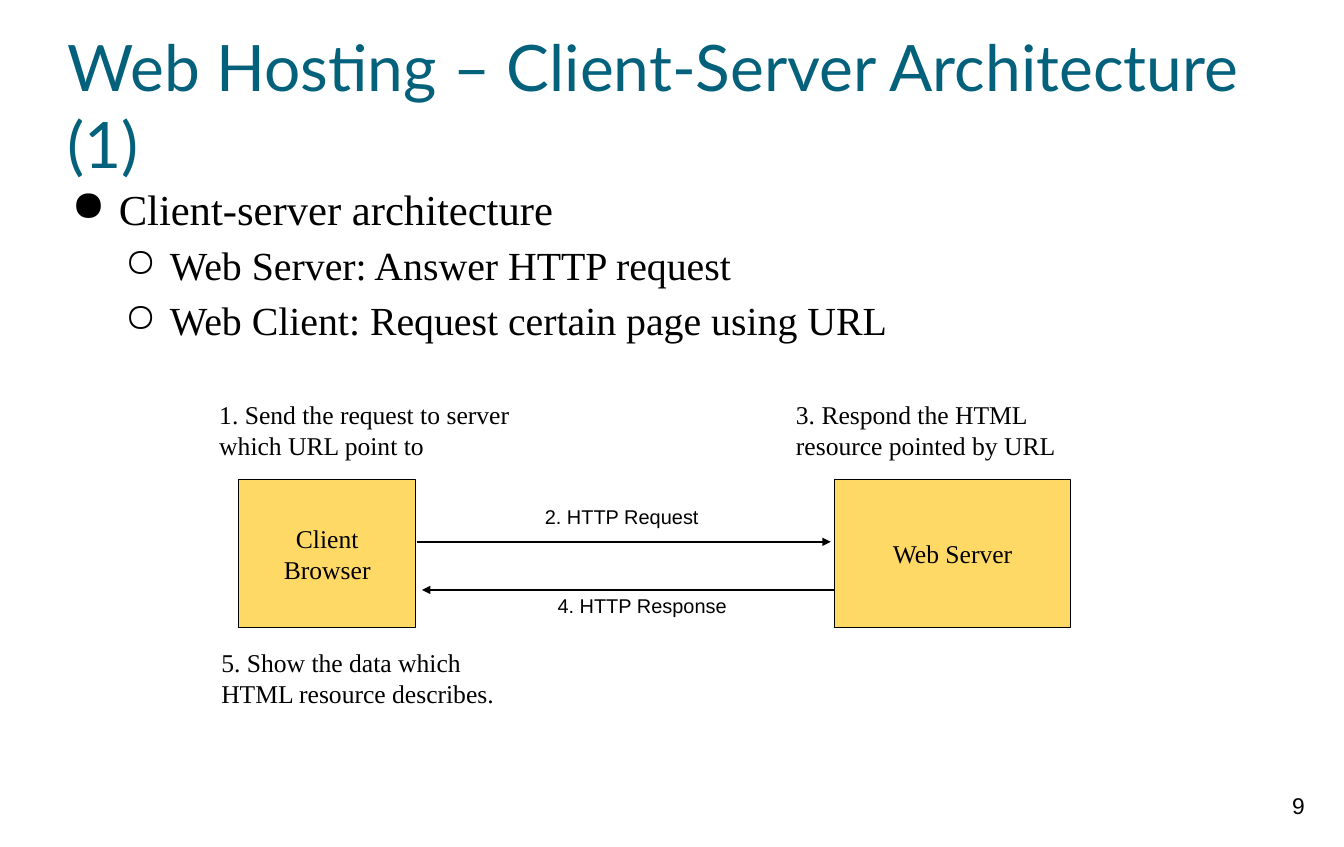
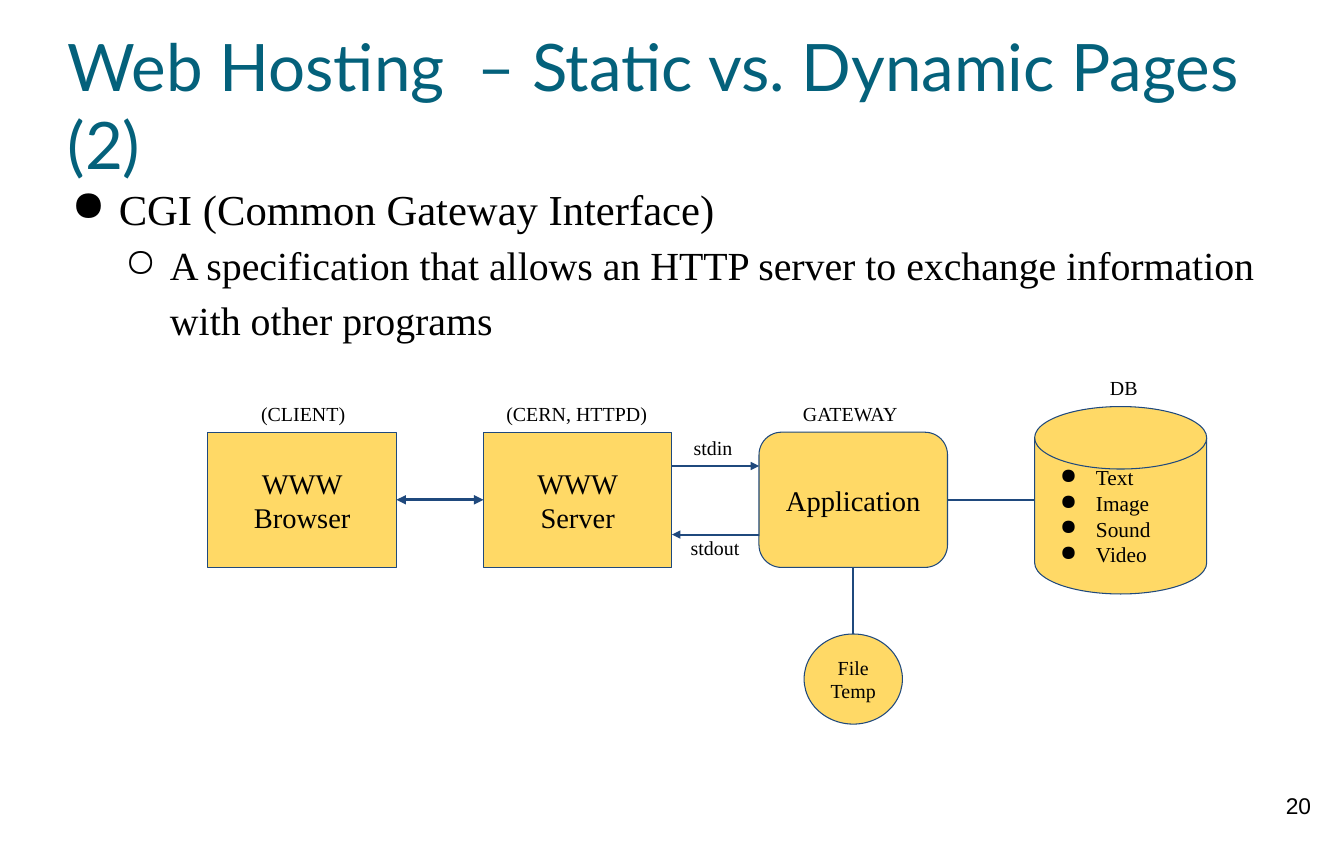
from lxml.etree import SubElement
from pptx import Presentation
from pptx.dml.color import RGBColor
from pptx.enum.shapes import MSO_CONNECTOR, MSO_SHAPE
from pptx.enum.text import MSO_ANCHOR, PP_ALIGN
from pptx.oxml.ns import qn
from pptx.util import Inches, Pt

COLORS = {"title": "04617B", "text": "000000", "fill": "FFD966", "navy": "1F497D"}
SERIF, SANS, TITLE_FONT = "Times New Roman", "Arial", "Lato"
BODY_LEVELS = [("●", 0.5, 0.46, 30), ("○", 1, 0.44, 28)]


class Deck:
    def __init__(self):
        self.presentation = Presentation()
        self.presentation.slide_width = Inches(13.12)
        self.presentation.slide_height = Inches(8.27)
        self.slide = None

    def color(self, name):
        return RGBColor.from_string(COLORS[name])

    def style(self, paragraph, size, font=SERIF, color="text", align=PP_ALIGN.LEFT):
        paragraph.alignment = align
        for run in paragraph.runs:
            run.font.size = Pt(size)
            run.font.name = font
            run.font.color.rgb = self.color(color)

    def frame(self, shape, inset, anchor):
        text_frame = shape.text_frame
        text_frame.word_wrap = True
        text_frame.vertical_anchor = anchor
        text_frame.margin_left = text_frame.margin_right = Inches(inset)
        text_frame.margin_top = text_frame.margin_bottom = Inches(inset)
        return text_frame

    def bullet(self, paragraph, symbol, indent, hanging):
        properties = paragraph._p.get_or_add_pPr()
        properties.set("marL", str(Inches(indent)))
        properties.set("indent", str(-Inches(hanging)))
        bullet_color = SubElement(properties, qn("a:buClr"))
        SubElement(bullet_color, qn("a:srgbClr"), val=COLORS["text"])
        SubElement(properties, qn("a:buChar"), char=symbol)

    def label(self, text, left, top, width, height, size, font=SERIF, color="text",
              align=PP_ALIGN.LEFT, inset=0, anchor=MSO_ANCHOR.TOP):
        shape = self.slide.shapes.add_textbox(
            Inches(left), Inches(top), Inches(width), Inches(height))
        text_frame = self.frame(shape, inset, anchor)
        text_frame.text = text
        self.style(text_frame.paragraphs[0], size, font, color, align)
        return shape

    def caption(self, text, left, top):
        self.label(text, left, top, 1.68, 0.46, 14, align=PP_ALIGN.CENTER, inset=0.1)

    def start(self, title, title_size, number, body):
        layout = self.presentation.slide_layouts[6]
        self.slide = self.presentation.slides.add_slide(layout)
        heading = self.label(title, 0.66, 0.33, 11.81, 1.38, title_size, TITLE_FONT,
                             "title", anchor=MSO_ANCHOR.MIDDLE)
        if "\t" in title:
            properties = heading.text_frame.paragraphs[0]._p.get_or_add_pPr()
            tabs = SubElement(properties, qn("a:tabLst"))
            SubElement(tabs, qn("a:tab"), pos=str(Inches(4)), algn="l")
        self.body(body)
        self.label(str(number), 12.28, 7.63, 0.79, 0.63, 16, SANS,
                   align=PP_ALIGN.CENTER, inset=0.1)

    def body(self, items):
        shape = self.slide.shapes.add_textbox(
            Inches(0.66), Inches(1.71), Inches(11.84), Inches(6.19))
        text_frame = self.frame(shape, 0, MSO_ANCHOR.TOP)
        text_frame.text = "\n".join(text for level, text in items)
        for paragraph, (level, text) in zip(text_frame.paragraphs, items):
            symbol, indent, hanging, size = BODY_LEVELS[level]
            paragraph.level = level
            self.bullet(paragraph, symbol, indent, hanging)
            paragraph.line_spacing = 1.15
            self.style(paragraph, size)

    def box(self, text, left, top, width, height, size, kind=MSO_SHAPE.RECTANGLE,
            line="navy", bulleted=False):
        shape = self.slide.shapes.add_shape(
            kind, Inches(left), Inches(top), Inches(width), Inches(height))
        shape.shadow.inherit = False
        shape.fill.solid()
        shape.fill.fore_color.rgb = self.color("fill")
        shape.line.color.rgb = self.color(line)
        shape.line.width = Pt(0.75)
        text_frame = self.frame(shape, 0.1, MSO_ANCHOR.MIDDLE)
        text_frame.text = text
        for paragraph in text_frame.paragraphs:
            if bulleted:
                self.bullet(paragraph, "●", 0.5, 0.35)
            self.style(paragraph, size,
                       align=PP_ALIGN.LEFT if bulleted else PP_ALIGN.CENTER)
        return shape

    def line(self, start, end, color="navy", width=1.5, arrows=(), begin=None, finish=None):
        points = [Inches(value) for value in (*start, *end)]
        connector = self.slide.shapes.add_connector(MSO_CONNECTOR.STRAIGHT, *points)
        connector.line.color.rgb = self.color(color)
        connector.line.width = Pt(width)
        for arrow in arrows:
            SubElement(connector.line._get_or_add_ln(), qn(f"a:{arrow}"), type="triangle")
        SubElement(connector._element.spPr, qn("a:effectLst"))
        if begin:
            connector.begin_connect(*begin)
        if finish:
            connector.end_connect(*finish)


def client_server_slide(deck):
    deck.start("Web Hosting – Client-Server Architecture (1)", 45, 9, [
        (0, "Client-server architecture"),
        (1, "Web Server: Answer HTTP request"),
        (1, "Web Client: Request certain page using URL")])
    for text, left, width in [("Client\nBrowser", 2.33, 1.73), ("Web Server", 8.15, 2.3)]:
        deck.box(text, left, 4.68, width, 1.45, 18, line="text")
    for start, end in [((4.07, 5.29), (8.11, 5.29)), ((8.15, 5.76), (4.12, 5.76))]:
        deck.line(start, end, "text", arrows=["tailEnd"])
    for text, left, top, width in [("2. HTTP Request", 4.63, 4.93, 2.88),
                                   ("4. HTTP Response", 4.54, 5.8, 3.46)]:
        deck.label(text, left, top, width, 0.25, 14, SANS, align=PP_ALIGN.CENTER)
    for text, left, top in [
            ("1. Send the request to server which URL point to", 2.14, 3.9),
            ("3. Respond the HTML resource pointed by URL", 7.77, 3.9),
            ("5. Show the data which HTML resource describes.", 2.16, 6.32)]:
        deck.label(text, left, top, 2.88, 0.73, 18)


def dynamic_pages_slide(deck):
    deck.start("Web Hosting \t– Static vs. Dynamic Pages (2)", 46, 20, [
        (0, "CGI (Common Gateway Interface)"),
        (1, "A specification that allows an HTTP server to exchange information "
            "with other programs")])
    left, top, width, height, pitch = 2.03, 4.22, 1.84, 1.32, 2.69
    middle = top + height / 2
    stages = [("WWW\nBrowser", MSO_SHAPE.RECTANGLE), ("WWW\nServer", MSO_SHAPE.RECTANGLE),
              ("Application", MSO_SHAPE.ROUNDED_RECTANGLE)]
    browser, server, application = [
        deck.box(text, left + index * pitch, top, width, height, 20, kind)
        for index, (text, kind) in enumerate(stages)]
    disk_left = left + 3 * pitch
    deck.box("Text\nImage\nSound\nVideo", disk_left, 3.97, 1.68, 1.83, 15,
             MSO_SHAPE.FLOWCHART_MAGNETIC_DISK, bulleted=True)
    for index, text in enumerate(["(CLIENT)", "(CERN, HTTPD)", "GATEWAY", "DB"]):
        deck.caption(text, 2.12 + index * 2.67, 3.57 if text == "DB" else 3.82)

    server_right = left + pitch + width
    application_left = left + 2 * pitch
    application_right = application_left + width
    center = application_left + width / 2
    file_store = deck.box("File\nTemp", center - 0.48, 6.19, 0.96, 0.88, 14,
                          MSO_SHAPE.FLOWCHART_CONNECTOR)
    deck.line((left + width, middle), (left + pitch, middle), width=2.25,
              arrows=["headEnd", "tailEnd"], begin=(browser, 3), finish=(server, 1))
    deck.line((server_right, 4.55), (application_left, 4.55), arrows=["tailEnd"])
    deck.line((application_left, 5.22), (server_right, 5.22), arrows=["tailEnd"])
    deck.line((application_right, middle), (disk_left, middle), begin=(application, 3))
    deck.line((center, top + height), (center, 6.19),
              begin=(application, 2), finish=(file_store, 0))
    deck.caption("stdin", 6.12, 4.15)
    deck.caption("stdout", 6.14, 5.13)


def main():
    deck = Deck()
    client_server_slide(deck)
    dynamic_pages_slide(deck)
    deck.presentation.save("out.pptx")


if __name__ == "__main__":
    main()
